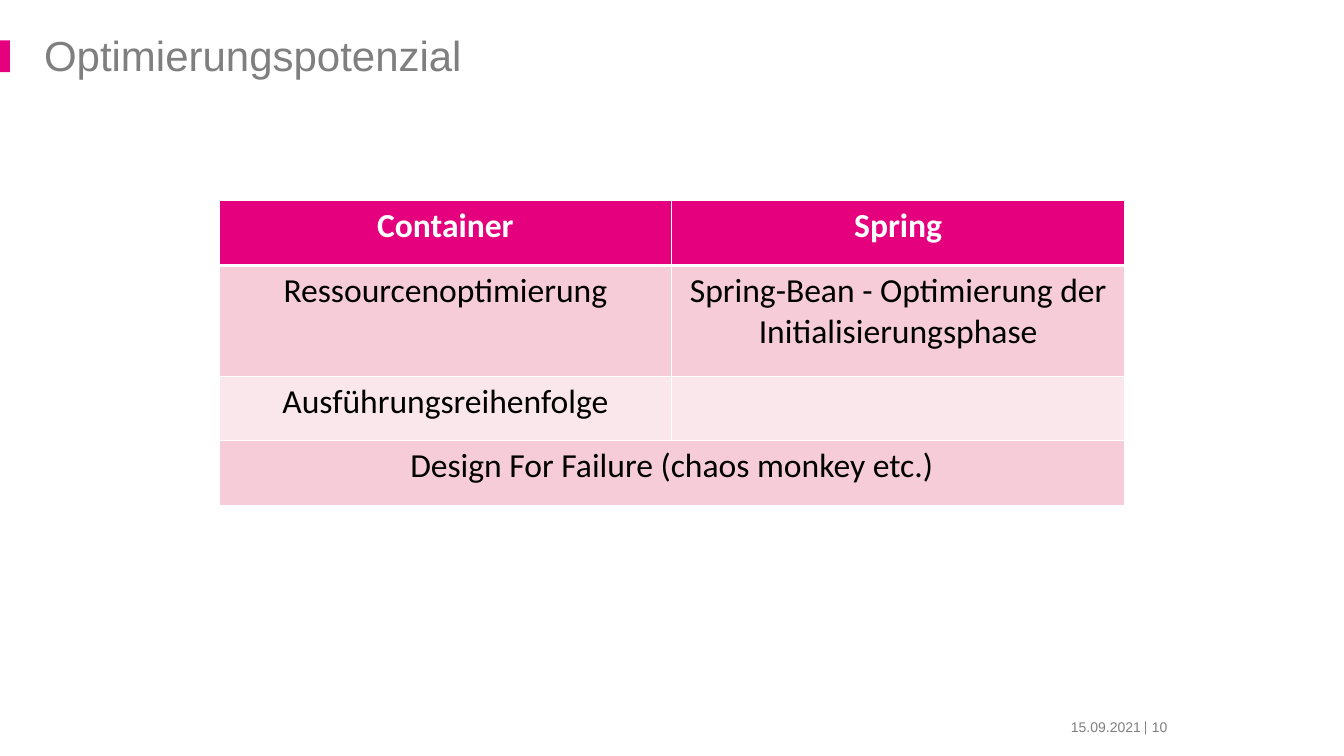
from dataclasses import dataclass

from lxml import etree
from pptx import Presentation
from pptx.dml.color import RGBColor
from pptx.enum.shapes import MSO_SHAPE
from pptx.enum.text import MSO_ANCHOR, MSO_AUTO_SIZE, PP_ALIGN
from pptx.oxml.ns import qn
from pptx.shapes.autoshape import Shape
from pptx.slide import Slide
from pptx.table import _Cell
from pptx.text.text import TextFrame
from pptx.util import Cm, Pt

MAGENTA = RGBColor(0xE5, 0x00, 0x7D)
ROSE = RGBColor(0xF5, 0xCC, 0xD7)
PALE_ROSE = RGBColor(0xFA, 0xE7, 0xEC)
WHITE = RGBColor(0xFF, 0xFF, 0xFF)
BLACK = RGBColor(0x00, 0x00, 0x00)
GRAY = RGBColor(0x7F, 0x7F, 0x7F)

LEFT = PP_ALIGN.LEFT
CENTER = PP_ALIGN.CENTER
RIGHT = PP_ALIGN.RIGHT
TOP = MSO_ANCHOR.TOP
MIDDLE = MSO_ANCHOR.MIDDLE
NO_AUTOFIT = MSO_AUTO_SIZE.NONE
RECTANGLE = MSO_SHAPE.RECTANGLE

TITLE_ONLY_LAYOUT = 5
THIN_BORDER = Pt(1)
HEADER_BORDER = Pt(3)
COLUMN_WIDTH = Cm(11.41)


@dataclass(frozen=True)
class FooterText:
    text: str
    left: float
    top: float
    width: float
    height: float
    align: PP_ALIGN
    anchor: MSO_ANCHOR
    font: str = "Arial"


@dataclass(frozen=True)
class TableRow:
    texts: tuple[str, ...]
    height: float
    fill: RGBColor
    color: RGBColor = BLACK
    bold: bool = False
    top_border: int = THIN_BORDER
    bottom_border: int = THIN_BORDER


FOOTER = (
    FooterText("|", 28.83, 18.11, 0.25, 0.43, LEFT, TOP, "Lato"),
    FooterText("15.09.2021", 26.29, 18.06, 2.46, 0.51, RIGHT, MIDDLE),
    FooterText("10", 29.03, 18.06, 0.94, 0.51, LEFT, MIDDLE),
)

ROWS = (
    TableRow(("Container", "Spring"), 1.63, MAGENTA, WHITE, True,
             bottom_border=HEADER_BORDER),
    TableRow(("Ressourcenoptimierung",
              "Spring-Bean - Optimierung der Initialisierungsphase"),
             2.79, ROSE, top_border=HEADER_BORDER),
    TableRow(("Ausführungsreihenfolge", ""), 1.63, PALE_ROSE),
    TableRow(("Design For Failure (chaos monkey etc.)",), 1.63, ROSE),
)


def format_text(frame: TextFrame, font: str, size: int, color: RGBColor,
                align: PP_ALIGN, bold: bool = False) -> None:
    for paragraph in frame.paragraphs:
        paragraph.alignment = align
        for run in paragraph.runs:
            run.font.name = font
            run.font.size = Pt(size)
            run.font.color.rgb = color
            run.font.bold = bold


def format_title(title: Shape) -> None:
    title.left, title.top = Cm(0.61), Cm(0.89)
    title.width, title.height = Cm(22.83), Cm(1.04)
    frame = title.text_frame
    frame.text = "Optimierungspotenzial"
    frame.auto_size = NO_AUTOFIT
    frame.vertical_anchor = TOP
    frame.margin_left, frame.margin_right = Cm(0.5), Cm(0.25)
    frame.margin_top, frame.margin_bottom = Cm(0), Cm(0.13)
    frame.paragraphs[0].line_spacing = 0.9
    format_text(frame, "Arial", 30, GRAY, LEFT)


def add_accent_bar(slide: Slide) -> None:
    bar = slide.shapes.add_shape(RECTANGLE, Cm(0), Cm(1.02), Cm(0.25), Cm(0.8))
    bar.shadow.inherit = False
    bar.fill.solid()
    bar.fill.fore_color.rgb = MAGENTA
    bar.line.fill.background()


def add_footer_text(slide: Slide, item: FooterText) -> None:
    box = slide.shapes.add_textbox(
        Cm(item.left), Cm(item.top), Cm(item.width), Cm(item.height))
    frame = box.text_frame
    frame.text = item.text
    frame.vertical_anchor = item.anchor
    frame.margin_left = frame.margin_right = Cm(0)
    frame.margin_top = frame.margin_bottom = Cm(0)
    format_text(frame, item.font, 10, GRAY, item.align)


def set_borders(cell: _Cell, row: TableRow) -> None:
    properties = cell._tc.get_or_add_tcPr()
    widths = {"a:lnL": THIN_BORDER, "a:lnR": THIN_BORDER,
              "a:lnT": row.top_border, "a:lnB": row.bottom_border}
    for tag, width in widths.items():
        border = etree.SubElement(properties, qn(tag), w=str(width))
        fill = etree.SubElement(border, qn("a:solidFill"))
        etree.SubElement(fill, qn("a:srgbClr"), val=str(WHITE))


def add_table(slide: Slide, rows: tuple[TableRow, ...]) -> None:
    column_count = len(rows[0].texts)
    table = slide.shapes.add_table(
        len(rows), column_count, Cm(5.52), Cm(5.06),
        COLUMN_WIDTH * column_count, Cm(sum(row.height for row in rows))).table
    for column in table.columns:
        column.width = COLUMN_WIDTH
    for row_index, row in enumerate(rows):
        table.rows[row_index].height = Cm(row.height)
        for column_index in range(column_count):
            cell = table.cell(row_index, column_index)
            set_borders(cell, row)
            cell.fill.solid()
            cell.fill.fore_color.rgb = row.fill
        for column_index, text in enumerate(row.texts):
            frame = table.cell(row_index, column_index).text_frame
            frame.text = text
            format_text(frame, "Calibri", 24, row.color, CENTER, row.bold)
        if len(row.texts) == 1:
            table.cell(row_index, 0).merge(
                table.cell(row_index, column_count - 1))


def main() -> None:
    presentation = Presentation()
    presentation.slide_width = Cm(33.87)
    presentation.slide_height = Cm(19.05)
    layout = presentation.slide_layouts[TITLE_ONLY_LAYOUT]
    slide = presentation.slides.add_slide(layout)
    add_accent_bar(slide)
    format_title(slide.shapes.title)
    for item in FOOTER:
        add_footer_text(slide, item)
    add_table(slide, ROWS)
    presentation.save("out.pptx")


if __name__ == "__main__":
    main()
